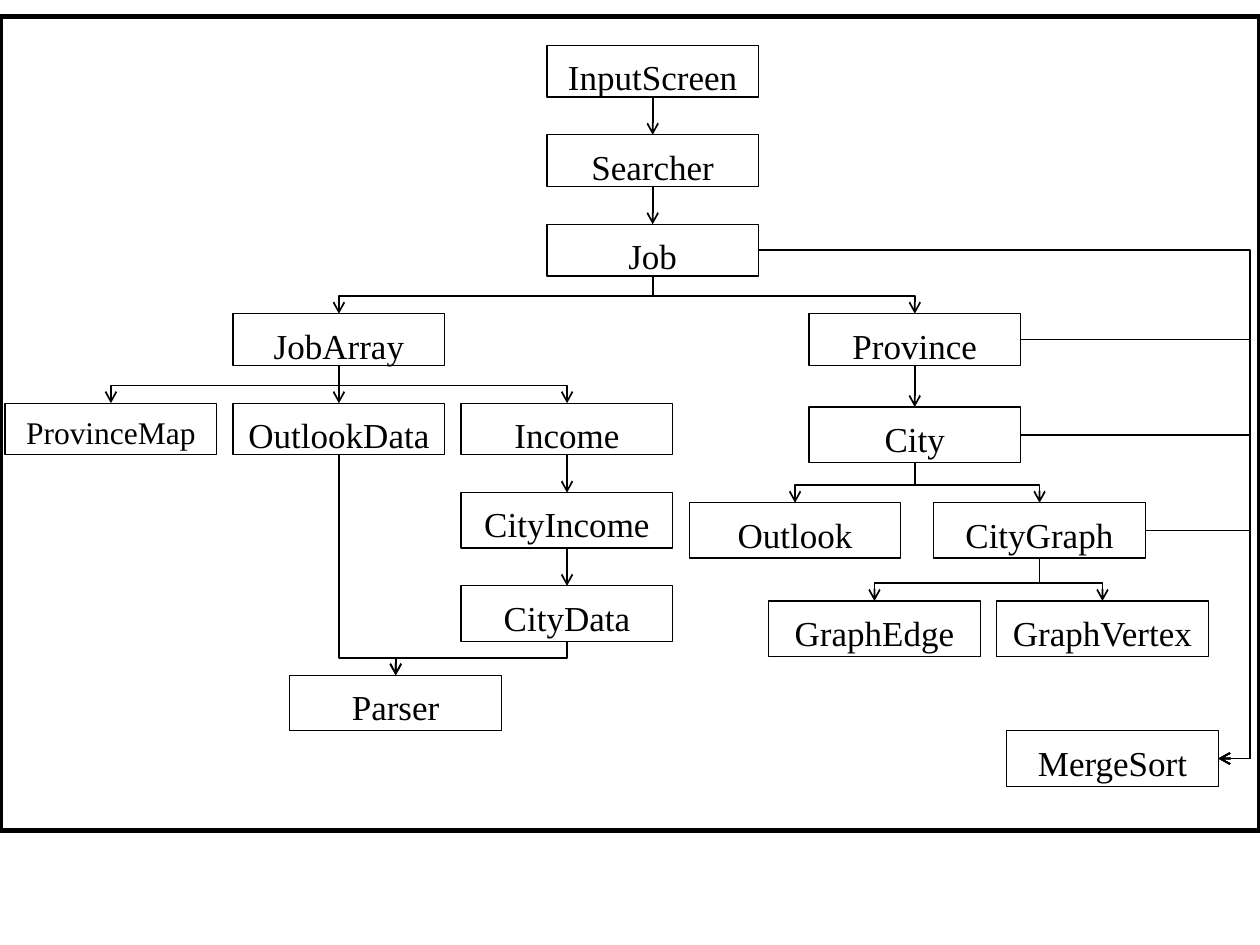
import pptx
import pptx.dml.color
import pptx.enum.shapes
import pptx.enum.text
import pptx.oxml
import pptx.oxml.ns
import pptx.util
from pptx.util import Inches

COLORS = {"ink": "000000", "paper": "FFFFFF"}
FONT = "Times New Roman"
BOX_WIDTH, SHORT, TALL = 1.68, 0.41, 0.44
TOP, BOTTOM, RIGHT = 0, 2, 3
RAIL = 9.92

CLASSES = {
    "InputScreen": (4.34, 0.36, SHORT),
    "Searcher": (4.34, 1.07, SHORT),
    "Job": (4.34, 1.78, SHORT),
    "JobArray": (1.85, 2.49, SHORT),
    "Province": (6.42, 2.49, SHORT),
    "ProvinceMap": (0.04, 3.2, SHORT),
    "OutlookData": (1.85, 3.2, SHORT),
    "Income": (3.66, 3.2, SHORT),
    "CityIncome": (3.66, 3.91, TALL),
    "CityData": (3.66, 4.65, TALL),
    "Parser": (2.3, 5.36, TALL),
    "City": (6.42, 3.23, TALL),
    "Outlook": (5.47, 3.99, TALL),
    "CityGraph": (7.41, 3.99, TALL),
    "GraphEdge": (6.1, 4.77, TALL),
    "GraphVertex": (7.91, 4.77, TALL),
    "MergeSort": (7.99, 5.8, TALL),
}
CHILDREN = {
    "InputScreen": ["Searcher"],
    "Searcher": ["Job"],
    "Job": ["JobArray", "Province"],
    "JobArray": ["ProvinceMap", "OutlookData", "Income"],
    "Income": ["CityIncome"],
    "CityIncome": ["CityData"],
    "CityData": ["Parser"],
    "OutlookData": ["Parser"],
    "Province": ["City"],
    "City": ["Outlook", "CityGraph"],
    "CityGraph": ["GraphEdge", "GraphVertex"],
}
SORT_USERS = ["Job", "Province", "City", "CityGraph"]


def rgb(name):
    """Return the named colour."""
    return pptx.dml.color.RGBColor.from_string(COLORS[name])


def add_rectangle(page, left, top, width, height, weight):
    """Add an unfilled rectangle with a plain outline."""
    box = page.shapes.add_shape(
        pptx.enum.shapes.MSO_SHAPE.RECTANGLE,
        Inches(left), Inches(top), Inches(width), Inches(height))
    box.shadow.inherit = False
    box.fill.background()
    box.line.color.rgb = rgb("ink")
    box.line.width = pptx.util.Pt(weight)
    return box


def add_class_box(page, name, left, top, height):
    """Add one labelled class box."""
    box = add_rectangle(page, left, top, BOX_WIDTH, height, 0.75)
    box.fill.solid()
    box.fill.fore_color.rgb = rgb("paper")
    frame = box.text_frame
    frame.word_wrap = True
    frame.vertical_anchor = pptx.enum.text.MSO_ANCHOR.TOP
    para = frame.paragraphs[0]
    para.text = name
    para.alignment = pptx.enum.text.PP_ALIGN.CENTER
    para.line_spacing = 1.1
    para.space_after = pptx.util.Pt(10)
    para.font.name = FONT
    para.font.size = pptx.util.Pt(18 if name == "ProvinceMap" else 20)
    para.font.color.rgb = rgb("ink")
    return box


def add_arrow(page, source, source_site, target, target_site, elbow):
    """Glue an arrow between two boxes."""
    kinds = pptx.enum.shapes.MSO_CONNECTOR
    arrow = page.shapes.add_connector(
        kinds.ELBOW if elbow else kinds.STRAIGHT, 0, 0, 0, 0)
    arrow.begin_connect(source, source_site)
    arrow.end_connect(target, target_site)
    arrow.line.color.rgb = rgb("ink")
    arrow.line.width = pptx.util.Pt(1)
    head = pptx.oxml.ns.qn("a:tailEnd")
    arrow.line._get_or_add_ln().append(
        pptx.oxml.parse_xml(f'<a:tailEnd {pptx.oxml.ns.nsdecls("a")} type="arrow"/>'))
    arrow._element.spPr.append(
        pptx.oxml.parse_xml(f'<a:effectLst {pptx.oxml.ns.nsdecls("a")}/>'))
    return arrow


def set_bend(arrow, share):
    """Place the middle segment of an elbow at a share of its length."""
    guides = arrow._element.spPr.find(pptx.oxml.ns.qn("a:prstGeom")).get_or_add_avLst()
    guides.append(pptx.oxml.parse_xml(
        f'<a:gd {pptx.oxml.ns.nsdecls("a")} name="adj1" fmla="val {round(share * 100000)}"/>'))


def add_child_arrow(page, parent, child):
    """Link a box down to one of its children."""
    start_x, end_x = (box.left + box.width // 2 for box in (parent, child))
    start_y, end_y = parent.top + parent.height, child.top
    run, drop = end_x - start_x, end_y - start_y
    elbow = abs(run) > Inches(0.02)
    arrow = add_arrow(page, parent, BOTTOM, child, TOP, elbow)
    if not elbow:
        return
    arrow.left = (start_x + end_x - drop) // 2
    arrow.top = (start_y + end_y - abs(run)) // 2
    arrow.width, arrow.height = drop, abs(run)
    frame = arrow._element.spPr.find(pptx.oxml.ns.qn("a:xfrm"))
    frame.set("rot", str((90 if run < 0 else 270) * 60000))
    frame.set("flipH", "0" if run < 0 else "1")
    set_bend(arrow, max(0.5, 1 - Inches(0.14) / drop))


def add_sort_arrow(page, user, sorter):
    """Link a box to the sorter along the rail at the right edge."""
    arrow = add_arrow(page, user, RIGHT, sorter, RIGHT, True)
    set_bend(arrow, (Inches(RAIL) - arrow.begin_x) / (arrow.end_x - arrow.begin_x))


def add_class_diagram(page):
    """Draw the class boxes and the arrows between them."""
    boxes = {name: add_class_box(page, name, *place) for name, place in CLASSES.items()}
    for parent, children in CHILDREN.items():
        for child in children:
            add_child_arrow(page, boxes[parent], boxes[child])
    for user in SORT_USERS:
        add_sort_arrow(page, boxes[user], boxes["MergeSort"])


def main():
    """Build and save the deck."""
    deck = pptx.Presentation()
    deck.slide_width, deck.slide_height = Inches(10), Inches(7.5)
    page = deck.slides.add_slide(deck.slide_layouts[6])
    add_class_diagram(page)
    add_rectangle(page, 0, 0.13, 10, 6.46, 3)
    deck.save("out.pptx")


if __name__ == "__main__":
    main()
